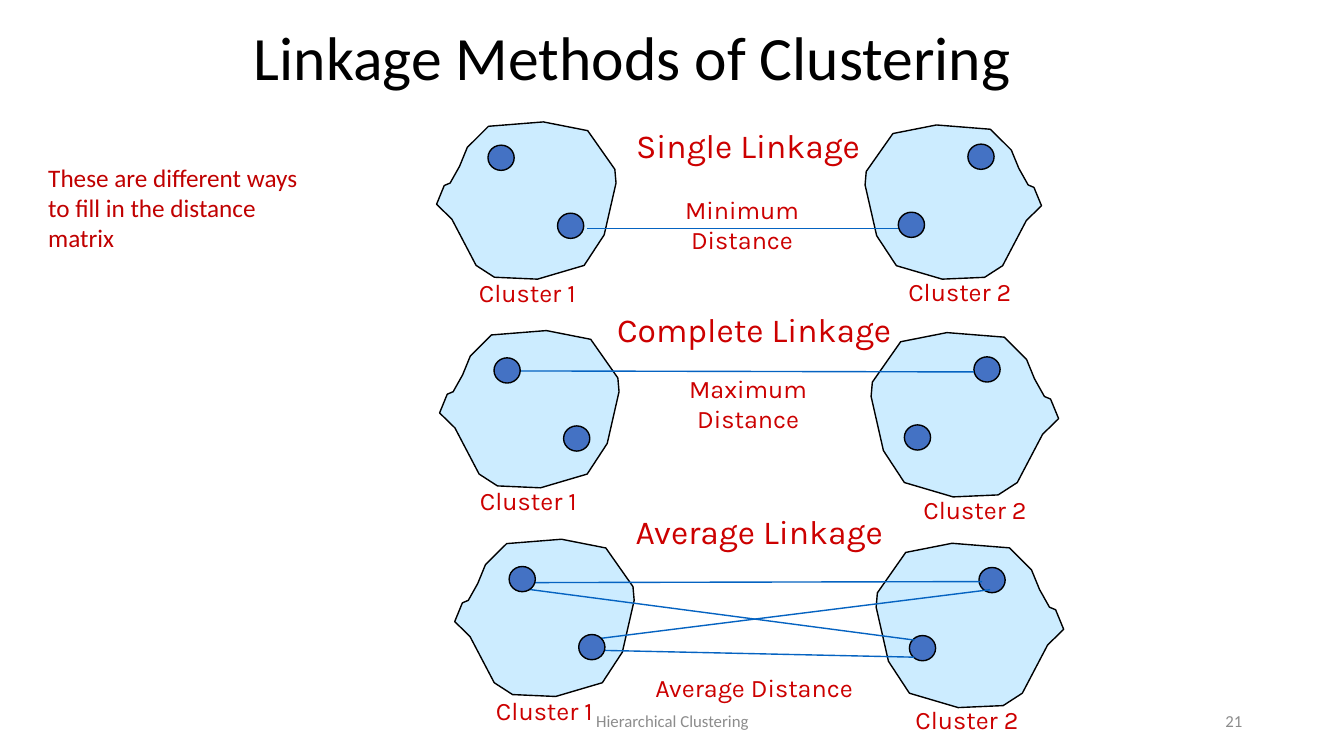
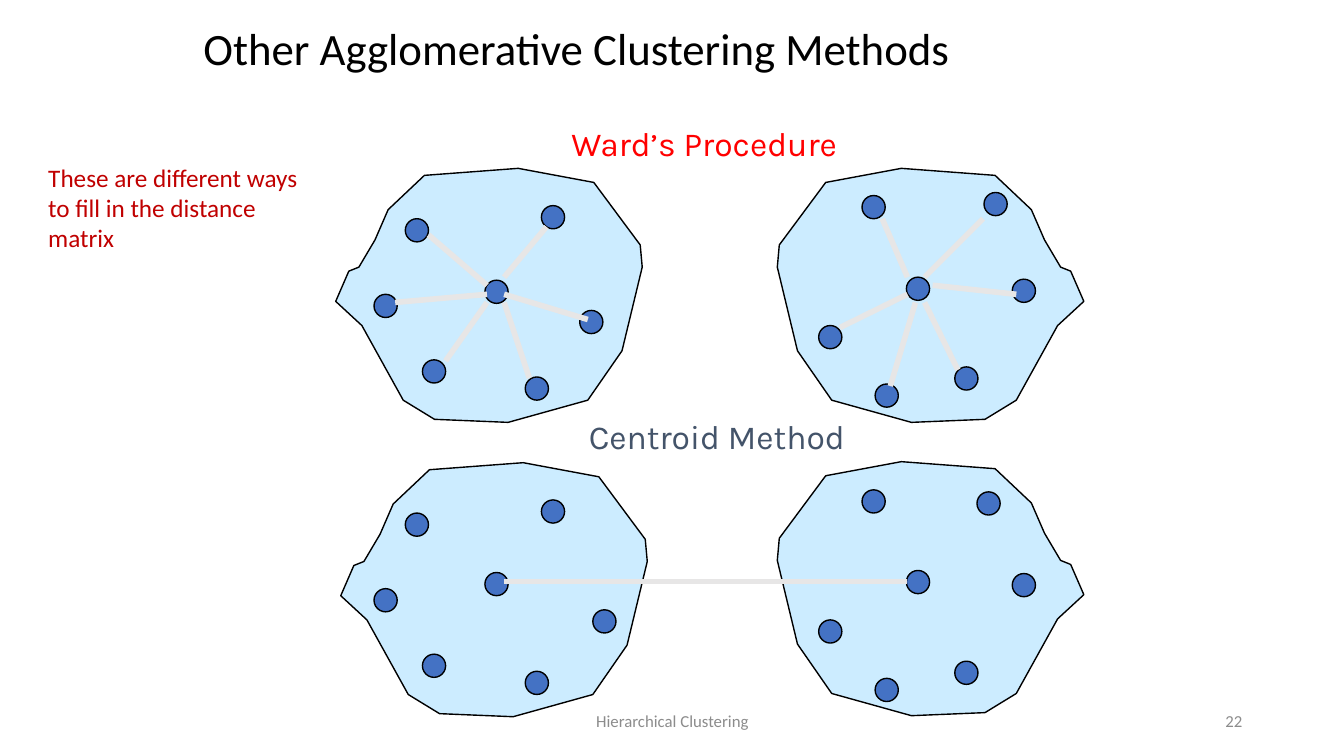
from pptx import Presentation
from pptx import util as u
from pptx.dml.color import RGBColor
from pptx.enum import shapes, text
from pptx.oxml.ns import qn
from lxml import etree

BLACK = RGBColor(0x00, 0x00, 0x00)
RED = RGBColor(0xCC, 0x00, 0x00)
DARK_RED = RGBColor(0xC0, 0x00, 0x00)
BRIGHT_RED = RGBColor(0xFF, 0x00, 0x00)
SLATE = RGBColor(0x44, 0x54, 0x6A)
GREY = RGBColor(0x8C, 0x8C, 0x8C)
PALE_GREY = RGBColor(0xE7, 0xE6, 0xE6)
PALE_BLUE = RGBColor(0xCC, 0xEC, 0xFF)
DOT_BLUE = RGBColor(0x44, 0x72, 0xC4)
LINK_BLUE = RGBColor(0x05, 0x63, 0xC1)

BODY_FONT, LABEL_FONT = "Calibri", "Karla"
LEFT, CENTER, RIGHT = text.PP_ALIGN.LEFT, text.PP_ALIGN.CENTER, text.PP_ALIGN.RIGHT
ROWS = 75  # the grid has square cells, 75 rows to the slide's height

# Cluster outline, in hundredths of its width and height
OUTLINE = [(28.95, 2.78), (59.54, 0), (84.21, 5.56), (99.34, 30.16),
           (100, 38.89), (93.42, 71.83), (82.24, 91.27), (56.25, 100),
           (32.24, 98.81), (22.04, 91.27), (8.55, 61.9), (0, 52.38),
           (4.28, 40.48), (7.57, 38.89), (12.83, 28.17), (17.11, 16.27)]


class Deck:
    """Style of the deck and the page being filled; lengths are grid cells."""

    def __init__(self):
        self.deck = Presentation()
        self.deck.slide_width, self.deck.slide_height = u.Inches(13.33), u.Inches(7.5)
        self.cell = self.deck.slide_height / ROWS
        self.page = None

    def emu(self, *cells):
        return [round(value * self.cell) for value in cells]

    def new_page(self, title, place, size, number):
        self.page = self.deck.slides.add_slide(self.deck.slide_layouts[6]).shapes
        self.words(title, place, size, BLACK, BODY_FONT, LEFT, middle=True, spacing=0.9)
        self.words("Hierarchical Clustering", (44.2, 69.5, 45, 4), 12, GREY,
                   BODY_FONT, middle=True)
        self.words(str(number), (94.2, 69.5, 30, 4), 12, GREY, BODY_FONT, RIGHT, middle=True)
        self.words("These are different ways to fill in the distance matrix",
                   (3.8, 15.6, 27.8, 10.1), 18, DARK_RED, BODY_FONT, LEFT)

    def words(self, content, place, size, color, font=LABEL_FONT, align=CENTER,
              middle=False, spacing=None):
        frame = self.page.add_textbox(*self.emu(*place)).text_frame
        frame.word_wrap = True
        frame.vertical_anchor = text.MSO_ANCHOR.MIDDLE if middle else text.MSO_ANCHOR.TOP
        para = frame.paragraphs[0]
        para.alignment, para.line_spacing = align, spacing
        span = para.add_run()
        span.text = content
        span.font.size, span.font.name = u.Pt(size), font
        span.font.color.rgb = color

    def paint(self, shape, fill):
        shape.shadow.inherit = False
        shape.fill.solid()
        shape.fill.fore_color.rgb = fill
        shape.line.color.rgb = BLACK
        shape.line.width = u.Pt(1)

    def cluster(self, left, top, width, height, mirrored=False):
        points = [self.emu(left + width * (100 - x if mirrored else x) / 100,
                           top + height * y / 100) for x, y in OUTLINE]
        builder = self.page.build_freeform(*points[0])
        builder.add_line_segments(points[1:], close=True)
        self.paint(builder.convert_to_shape(), PALE_BLUE)

    def dots(self, corners, width, height):
        for left, top in corners:
            place = self.emu(left, top, width, height)
            self.paint(self.page.add_shape(shapes.MSO_SHAPE.OVAL, *place), DOT_BLUE)

    def links(self, ends, color, weight):
        for end in ends:
            line = self.page.add_connector(shapes.MSO_CONNECTOR.STRAIGHT, *self.emu(*end))
            line.line.color.rgb = color
            line.line.width = u.Pt(weight)
            etree.SubElement(line._element.spPr, qn("a:effectLst"))


# heading, its corner; distance label, its place; left and right cluster;
# upper dot of each cluster; links; corners of the cluster labels
LINKAGES = [
    ("Single Linkage", (54.6, 11.9), "Minimum Distance", (62.3, 18.8, 22.6, 7),
     (43.3, 12.1, 17.8, 15.6), (85.8, 12.4, 17.5, 15.3), (48.4, 14.4), (96, 14.3),
     [(58.2, 22.7, 89.1, 22.7)], (44.6, 27), (87.5, 26.9)),
    ("Complete Linkage", (55.2, 30.2), "Maximum Distance", (62.9, 36.5, 22.6, 7),
     (43.6, 32.8, 17.8, 15.6), (86.4, 33, 18.6, 16.3), (49, 35.5), (96.6, 35.4),
     [(51.2, 36.8, 96.6, 36.9)], (44.7, 47.7), (89, 48.5)),
    ("Average Linkage", (55.7, 50.2), "Average Distance", (63.5, 66.2, 22.6, 4),
     (45.1, 53.5, 17.8, 15.6), (86.9, 53.9, 18.6, 16.3), (50.5, 56.2), (97.1, 56.3),
     [(58.8, 64.5, 90.7, 65.2), (51.8, 57.8, 97.4, 57.7),
      (51.9, 58.4, 90.7, 63.5), (98.2, 58.5, 58.2, 63.5)], (46.3, 68.5), (88.2, 69.4)),
]


def linkage_page(deck):
    deck.new_page("Linkage Methods of Clustering", (24.2, 1.7, 85.2, 8.6), 44, 21)
    step_x, step_y = 6.9, 6.75
    for (heading, corner, distance, place, left, right, left_dot, right_dot,
         ends, first, second) in LINKAGES:
        deck.cluster(*left)
        deck.cluster(*right, mirrored=True)
        x, y = right_dot
        deck.dots([(x, y), (x - step_x, y + step_y)], 2.6, 2.5)
        deck.links(ends, LINK_BLUE, 1)
        x, y = left_dot
        deck.dots([(x, y), (x + step_x, y + step_y)], 2.6, 2.5)
        deck.words(heading, (*corner, 39.2, 5), 24, RED)
        deck.words(distance, place, 18, RED)
        for label, spot in (("Cluster 1", first), ("Cluster 2", second)):
            deck.words(label, (*spot, 15.4, 4), 18, RED)


# Dots placed alike in both rows of clusters
SHARED_DOTS = [(40.2, 21.7), (53.7, 20.4), (52.1, 37.4), (41.9, 35.7), (37.1, 29.2),
               (81.2, 32.3), (85.5, 19.4), (100.4, 27.7), (94.7, 36.4), (86.8, 38.1)]
WARD_DOTS = [(57.5, 30.8), (48.1, 27.8), (97.6, 19.1), (89.9, 27.5)]
CENTROID_DOTS = [(58.8, 60.5), (48.1, 56.8), (96.9, 48.8), (89.9, 56.6)]
WARD_LINKS = [
    (42.5, 23.3, 48.3, 28.3), (54.2, 22.5, 50, 27.5), (50, 29.2, 58.3, 31.7),
    (50, 30, 52.5, 37.5), (48.3, 30, 44.2, 35.8), (48.3, 29.2, 39.2, 30),
    (83.3, 32.5, 90, 29.2), (87.5, 21.7, 90, 27.5), (91.7, 27.5, 97.5, 21.7),
    (92.5, 28.3, 100.8, 29.2), (91.7, 30, 95, 36.7), (90.8, 30, 88.3, 38.3)]
METHODS = [
    ("Ward’s Procedure", (52.3, 11.7, 35.1, 5), BRIGHT_RED, (33.3, 16.7), (77.1, 16.7),
     0, WARD_DOTS, WARD_LINKS),
    ("Centroid Method", (54.8, 40.8, 32.6, 5), SLATE, (33.8, 45.9), (77.1, 45.8),
     29.2, CENTROID_DOTS, [(50, 57.7, 90, 57.7)]),
]


def methods_page(deck):
    deck.new_page("Other Agglomerative Clustering Methods", (19.2, 1.7, 95.3, 6.7), 32, 22)
    for heading, place, color, left, right, drop, own_dots, ends in METHODS:
        deck.words(heading, place, 24, color)
        deck.cluster(*left, 30.4, 25.2)
        deck.cluster(*right, 30.4, 25.2, mirrored=True)
        deck.dots([(x, y + drop) for x, y in SHARED_DOTS] + own_dots, 2.3, 2.3)
        deck.links(ends, PALE_GREY, 4)


def main():
    deck = Deck()
    linkage_page(deck)
    methods_page(deck)
    deck.deck.save("out.pptx")


if __name__ == "__main__":
    main()
